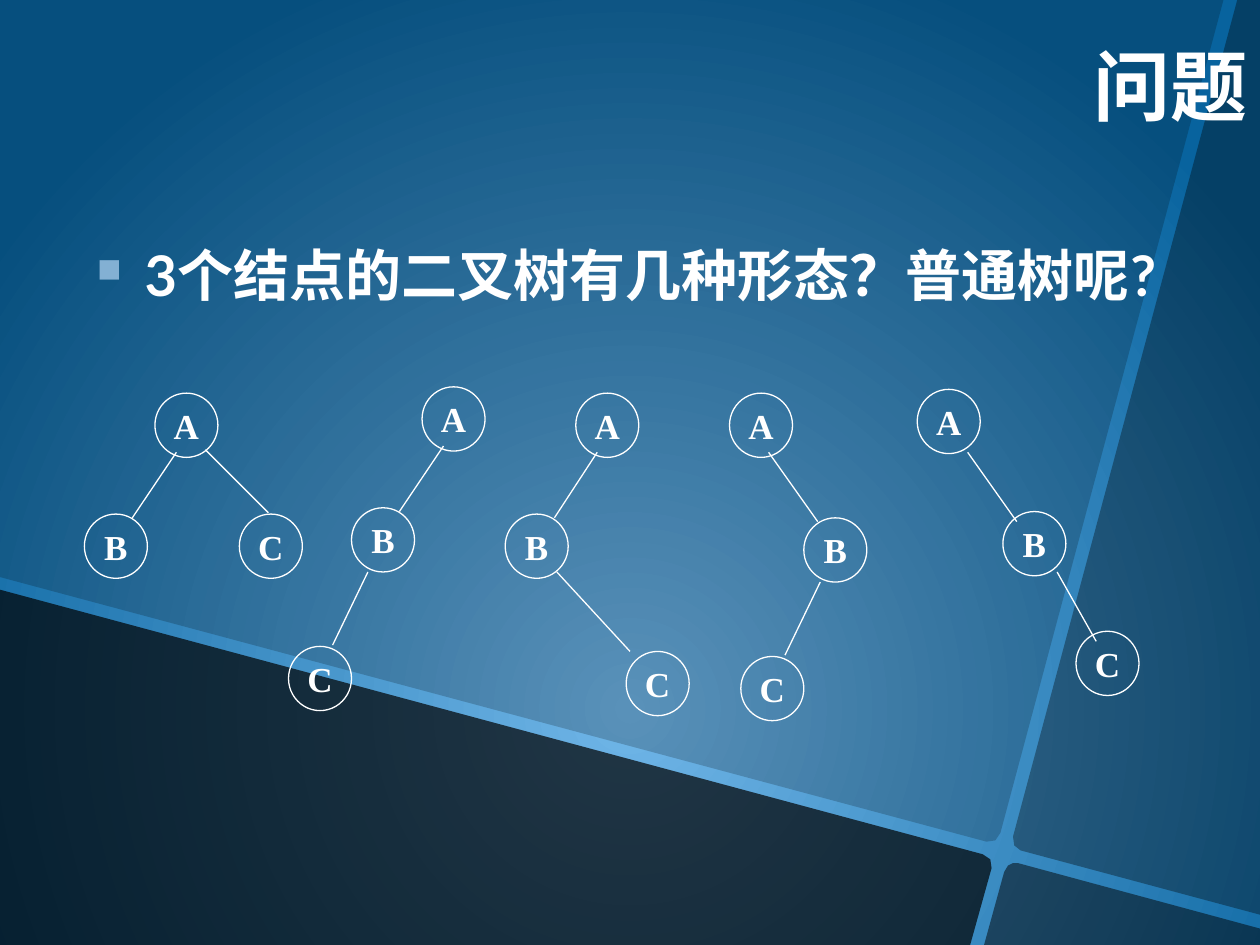
from lxml import etree
from pptx import Presentation
from pptx.dml.color import RGBColor
from pptx.enum.shapes import MSO_CONNECTOR as Link, MSO_SHAPE as Shape
from pptx.enum.text import MSO_ANCHOR as Anchor, PP_ALIGN as Align
from pptx.oxml.ns import qn
from pptx.util import Inches, Pt

WHITE = RGBColor(0xFF, 0xFF, 0xFF)
BLACK = RGBColor(0x00, 0x00, 0x00)
GLOW = RGBColor(0x70, 0xB6, 0xE8)
DEEP_BLUE = RGBColor(0x08, 0x63, 0x9E)
BULLET_BLUE = RGBColor(0x83, 0xB0, 0xD3)

deck = Presentation()
deck.slide_width, deck.slide_height = Inches(10), Inches(7.5)
page = deck.slides.add_slide(deck.slide_layouts[6])
UNIT = deck.slide_width // 100  # square grid of 100 columns by 75 rows


def grid(*values):
    return [round(value * UNIT) for value in values]


def write(para, text, name, size):
    span = para.add_run()
    span.text = text
    for key, value in {"name": name, "size": Pt(size), "bold": True}.items():
        setattr(span.font, key, value)
    span.font.color.rgb = WHITE


# Background: circular glow below the centre
fill = page.background.fill
fill.gradient()
for stop, color in zip(fill.gradient_stops, (GLOW, DEEP_BLUE)):
    stop.color.rgb = color
gradient = next(page.element.iter(qn("a:gradFill")))
gradient.remove(gradient.find(qn("a:lin")))
circle = etree.SubElement(gradient, qn("a:path"), path="circle")
etree.SubElement(circle, qn("a:fillToRect"), l="50000", t="50000", r="50000", b="0")

# Dark tilted panels: opacity in percent, outline in grid units
panels = [
    (20, [(0, 0), (97.1, 0), (79.4, 66.1), (79, 66.7), (78.3, 66.8), (0, 45.8)]),
    (70, [(0, 46.8), (78, 67.8), (78.6, 68.2), (78.7, 68.9), (77, 75), (0, 75)]),
    (50, [(80.4, 68.5), (80.8, 68.5), (100, 73.7), (100, 75), (78.1, 75),
          (79.7, 69.2), (80, 68.7)]),
    (35, [(98.2, 0), (100, 0), (100, 72.6), (81, 67.5), (80.5, 67.1), (80.4, 66.4)]),
]
for opacity, outline in panels:
    points = [grid(*point) for point in outline]
    builder = page.shapes.build_freeform(*points[0])
    builder.add_line_segments(points[1:])
    panel = builder.convert_to_shape()
    panel.shadow.inherit = False
    panel.fill.solid()
    panel.fill.fore_color.rgb = BLACK
    panel.line.fill.background()
    color = panel.element.spPr.find(qn("a:solidFill"))[0]
    etree.SubElement(color, qn("a:alpha"), val=str(opacity * 1000))

# Question with a square bullet
question = page.shapes.add_textbox(*grid(6.7, 18.6, 85, 7.3))
question.text_frame.word_wrap = True
para = question.text_frame.paragraphs[0]
props = para._p.get_or_add_pPr()
indent = Inches(0.38)
props.set("marL", str(indent))
props.set("indent", str(-indent))
bullet_color = etree.SubElement(props, qn("a:buClr"))
etree.SubElement(bullet_color, qn("a:srgbClr"), val=str(BULLET_BLUE))
etree.SubElement(props, qn("a:buSzPct"), val="60000")
etree.SubElement(props, qn("a:buChar"), char="■")
write(para, "3个结点的二叉树有几种形态？普通树呢?", "Lato", 32)

# Title
title = page.shapes.add_textbox(*grid(12.5, 1.7, 87.5, 9.2))
title.text_frame.word_wrap = True
title.text_frame.vertical_anchor = Anchor.BOTTOM
para = title.text_frame.paragraphs[0]
para.alignment = Align.RIGHT
write(para, "问题", "Roboto Slab", 44)

# Five trees: corners of nodes A, B, C, then the two edges
NODE_SIZE = (5, 5.1)
trees = [
    ([(12.3, 31.2), (6.7, 40.8), (19, 40.8)],
     [(14, 35.9, 10.5, 41.1), (16.3, 35.7, 21.3, 40.7)]),
    ([(33.5, 30.7), (27.9, 40.3), (22.9, 51.3)],
     [(35.2, 35.4, 31.7, 40.6), (29.2, 45.4, 26.4, 51.2)]),
    ([(45.7, 31.2), (40.1, 40.8), (49.7, 51.7)],
     [(47.4, 35.9, 44, 41.1), (44.2, 45.4, 50, 51.7)]),
    ([(57.9, 31.2), (63.8, 41.1), (58.8, 52.1)],
     [(61, 35.9, 64.9, 41.4), (65.1, 46.2, 62.3, 52)]),
    ([(72.8, 30.9), (79.6, 40.6), (85.4, 50.1)],
     [(76.8, 35.9, 80.7, 41.4), (83.9, 45.4, 87, 50.9)]),
]
for corners, edges in trees:
    tree = page.shapes.add_group_shape()
    for letter, corner in zip("ABC", corners):
        node = tree.shapes.add_shape(Shape.OVAL, *grid(*corner, *NODE_SIZE))
        node.shadow.inherit = False
        node.fill.background()
        node.line.color.rgb = WHITE
        node.line.width = Pt(0.75)
        node.text_frame.word_wrap = False
        node.text_frame.vertical_anchor = Anchor.MIDDLE
        para = node.text_frame.paragraphs[0]
        para.alignment = Align.CENTER
        write(para, letter, "Times New Roman", 20)
    for ends in edges:
        edge = tree.shapes.add_connector(Link.STRAIGHT, *grid(*ends))
        edge.line.color.rgb = WHITE
        edge.line.width = Pt(0.75)
        etree.SubElement(edge._element.spPr, qn("a:effectLst"))

deck.save("out.pptx")
